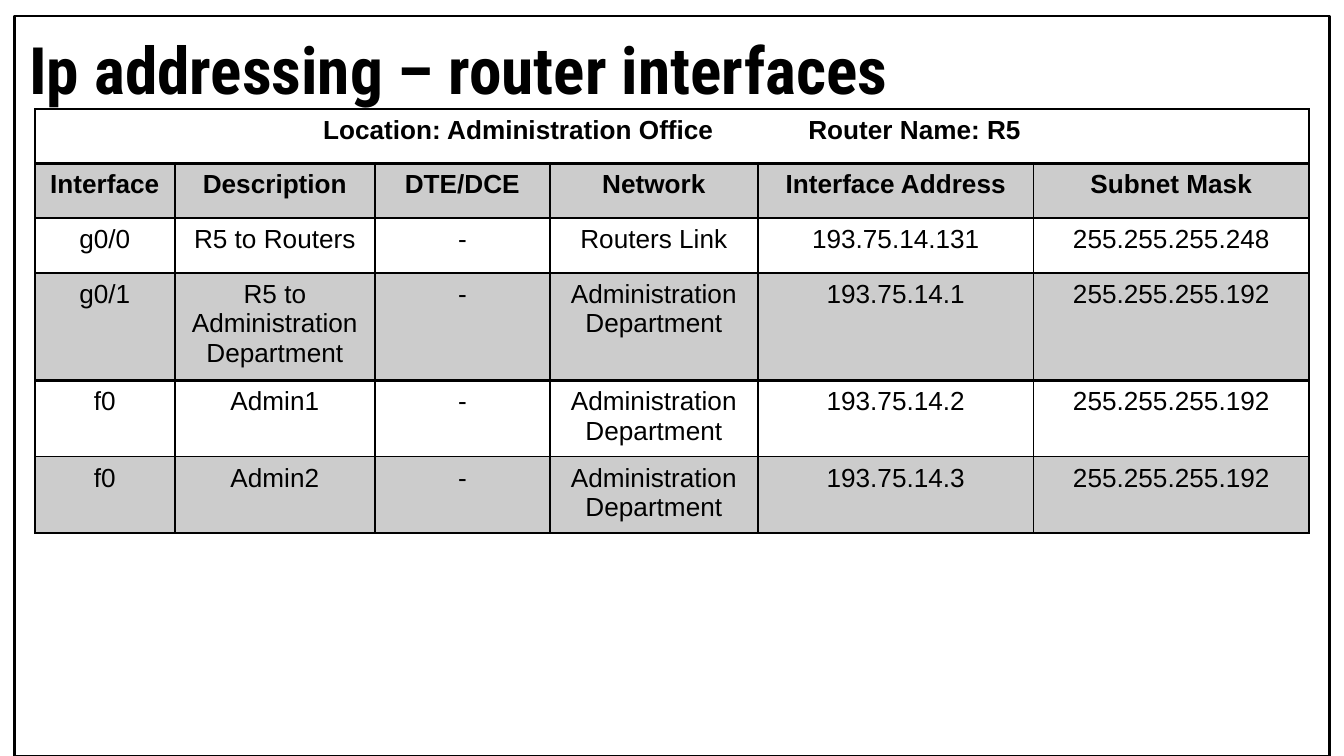
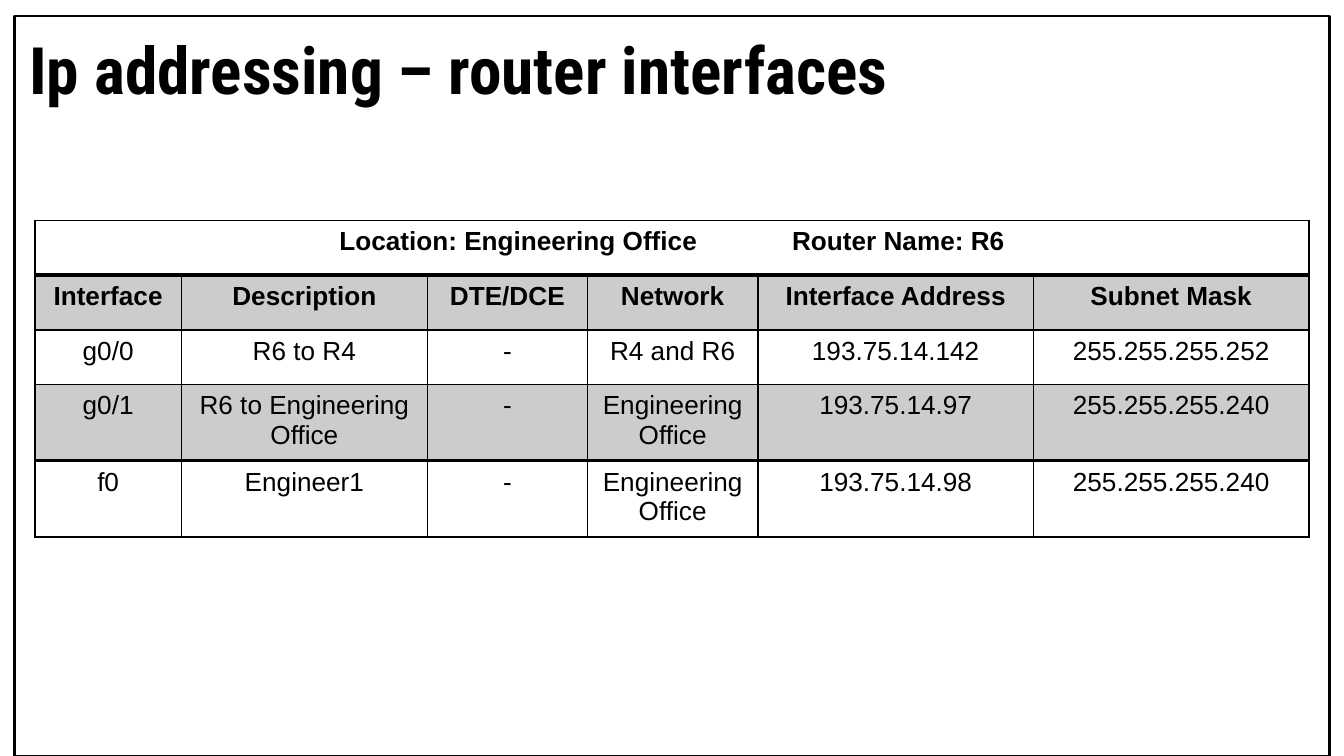
"""Build two slides that list the router interfaces of each office."""
import pptx
import pptx.util
import pptx.dml.color
import pptx.enum.shapes
import pptx.enum.text
import pptx.oxml.ns
import lxml.etree

TITLE = "Ip addressing – router interfaces"
HEADS = ["Interface", "Description", "DTE/DCE", "Network", "Interface Address", "Subnet Mask"]
ADMIN = "Administration Department"
ENGINE = "Engineering Office"
SITES = [
    {
        "place": "Location: Administration Office",
        "router": "Router Name: R5",
        "top": 58.3,
        "cols": [74.9, 107.3, 93.6, 111.6],
        "rows": [
            ["g0/0", "R5 to Routers", "-", "Routers Link", "193.75.14.131", "255.255.255.248"],
            ["g0/1", "R5 to Administration Department", "-", ADMIN, "193.75.14.1", "255.255.255.192"],
            ["f0", "Admin1", "-", ADMIN, "193.75.14.2", "255.255.255.192"],
            ["f0", "Admin2", "-", ADMIN, "193.75.14.3", "255.255.255.192"],
        ],
    },
    {
        "place": "Location: Engineering Office",
        "router": "Router Name: R6",
        "top": 118.1,
        "cols": [78.5, 131.8, 85.7, 91.4],
        "rows": [
            ["g0/0", "R6 to R4", "-", "R4 and R6", "193.75.14.142", "255.255.255.252"],
            ["g0/1", "R6 to Engineering Office", "-", ENGINE, "193.75.14.97", "255.255.255.240"],
            ["f0", "Engineer1", "-", ENGINE, "193.75.14.98", "255.255.255.240"],
        ],
    },
]

COLORS = {"ink": "000000"}
SHADE = 20
LEFT, HIGH, WIDE = 18.7, 29.3, 147.6
THIN = 1
HEAVY = {0: 2, 3: 2.25}
GAP = 46.7
HEAD = {"name": "Roboto Condensed", "size": pptx.util.Pt(35), "bold": True}
BOLD = {"name": "Arial", "size": pptx.util.Pt(14), "bold": True}
BODY = {**BOLD, "bold": False}

Pt = pptx.util.Pt
qn = pptx.oxml.ns.qn


def ink():
    return pptx.dml.color.RGBColor.from_string(COLORS["ink"])


def write(para, text, style):
    run = para.add_run()
    run.text = text
    for key, value in style.items():
        setattr(run.font, key, value)
    run.font.color.rgb = ink()
    return run


def frame(slide):
    rect = slide.shapes.add_shape(
        pptx.enum.shapes.MSO_SHAPE.RECTANGLE, Pt(7.9), Pt(8.6), Pt(704.2), Pt(396.7 - 8.6 + 8.6 - 8.6 * 0))
    rect.shadow.inherit = False
    rect.fill.background()
    rect.line.color.rgb = ink()
    rect.line.width = Pt(1.5)


def title(slide):
    box = slide.shapes.add_textbox(Pt(8.6), Pt(8.6), Pt(702.7), Pt(49.7)).text_frame
    box.word_wrap = True
    for side in ("left", "top", "right", "bottom"):
        setattr(box, f"margin_{side}", Pt(7.2))
    write(box.paragraphs[0], TITLE, HEAD)


def paint(cell, row):
    if row % 2 == 0:
        cell.fill.background()
    else:
        cell.fill.solid()
        cell.fill.fore_color.rgb = ink()
        color = next(cell._tc.tcPr.iter(qn("a:srgbClr")))
        lxml.etree.SubElement(color, qn("a:alpha"), val=str(SHADE * 1000))


def border(cell, row):
    widths = {"L": THIN, "R": THIN, "T": HEAVY.get(row - 1, THIN), "B": HEAVY.get(row, THIN)}
    props = cell._tc.get_or_add_tcPr()
    for spot, (side, width) in enumerate(widths.items()):
        line = lxml.etree.Element(qn(f"a:ln{side}"), w=str(Pt(width)))
        fill = lxml.etree.SubElement(line, qn("a:solidFill"))
        lxml.etree.SubElement(fill, qn("a:srgbClr"), val=COLORS["ink"])
        props.insert(spot, line)


def grid(slide, site):
    cols = site["cols"] + [WIDE, WIDE]
    lines = [[""] * len(cols), HEADS] + site["rows"]
    table = slide.shapes.add_table(
        len(lines), len(cols), Pt(LEFT), Pt(site["top"]), Pt(sum(cols)), Pt(HIGH * len(lines))).table
    table.first_row = table.horz_banding = False
    for col, width in zip(table.columns, cols):
        col.width = Pt(width)
    for row, texts in enumerate(lines):
        table.rows[row].height = Pt(HIGH)
        for col, text in enumerate(texts):
            cell = table.cell(row, col)
            paint(cell, row)
            border(cell, row)
            para = cell.text_frame.paragraphs[0]
            para.alignment = pptx.enum.text.PP_ALIGN.CENTER
            if text:
                write(para, text, BOLD if row == 1 else BODY)
    first = table.cell(0, 0)
    first.merge(table.cell(0, len(cols) - 1))
    para = first.text_frame.paragraphs[0]
    write(para, site["place"], BOLD)
    space = write(para, " ", BOLD)
    space.font._element.set("spc", str(round(GAP * 100)))
    write(para, site["router"], BOLD)


def main():
    deck = pptx.Presentation()
    deck.slide_width, deck.slide_height = Pt(720), Pt(405)
    for site in SITES:
        slide = deck.slides.add_slide(deck.slide_layouts[6])
        frame(slide)
        title(slide)
        grid(slide, site)
    deck.save("out.pptx")


if __name__ == "__main__":
    main()
